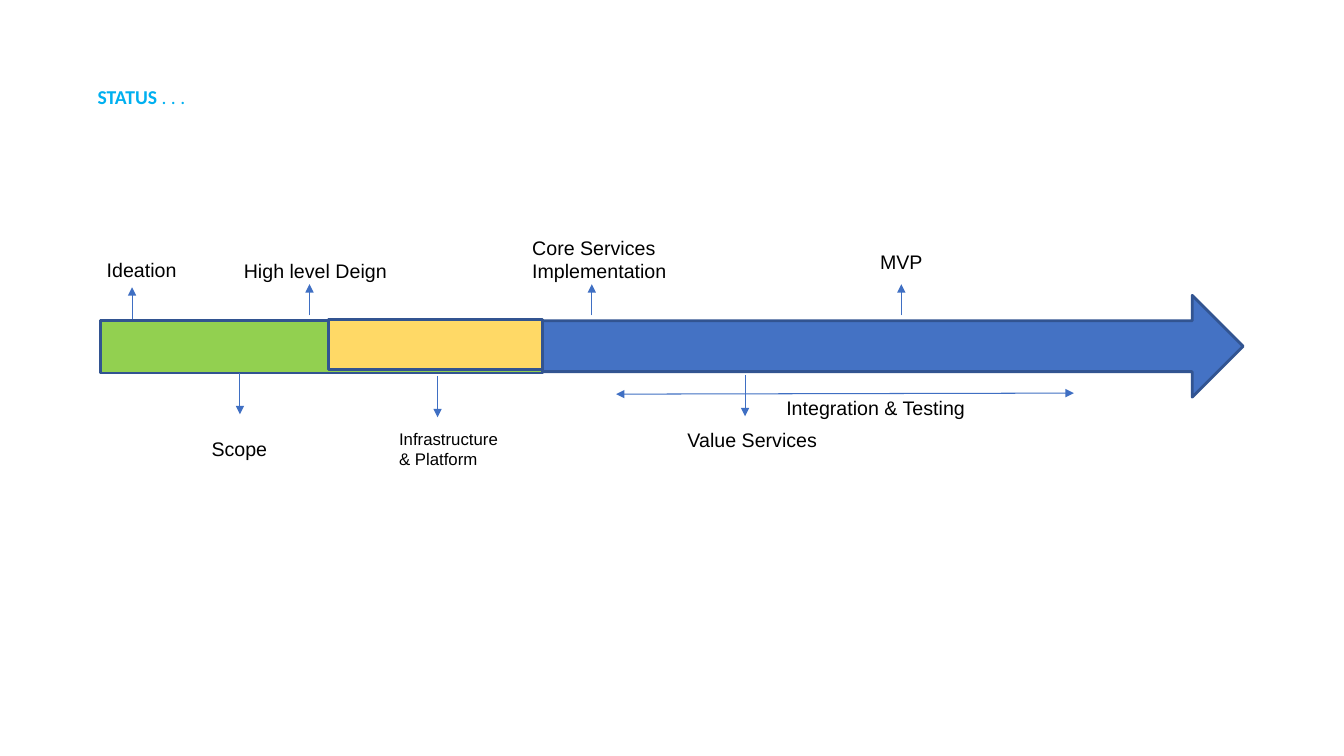
"""Build a project status slide with a milestone arrow."""
import lxml.etree
import pptx
import pptx.dml.color
import pptx.enum.shapes
import pptx.oxml.ns
import pptx.util

Inches = pptx.util.Inches
Pt = pptx.util.Pt
qn = pptx.oxml.ns.qn
SHAPE = pptx.enum.shapes.MSO_SHAPE


def paint(color, value):
    color.rgb = pptx.dml.color.RGBColor.from_string(value)


def label(text, left, top, width, height, size=14, wrap=False):
    box = slide.shapes.add_textbox(
        Inches(left), Inches(top), Inches(width), Inches(height))
    frame = box.text_frame
    frame.word_wrap = wrap
    frame.text = text
    for para in frame.paragraphs:
        for run in para.runs:
            run.font.size = Pt(size)
            run.font.name = "Arial"
            paint(run.font.color, "000000")
    return frame


deck = pptx.Presentation()
deck.slide_width = Inches(13.33)
deck.slide_height = Inches(7.5)
slide = deck.slides.add_slide(deck.slide_layouts[6])

bars = [
    (SHAPE.RIGHT_ARROW, 1, 2.93, 11.33, 1.01, "4472C4"),
    (SHAPE.RECTANGLE, 1, 3.18, 4.38, 0.52, "92D050"),
    (SHAPE.RECTANGLE, 3.26, 3.17, 2.12, 0.5, "FFD966"),
]
for kind, left, top, width, height, fill in bars:
    bar = slide.shapes.add_shape(
        kind, Inches(left), Inches(top), Inches(width), Inches(height))
    bar.shadow.inherit = False
    bar.fill.solid()
    paint(bar.fill.fore_color, fill)
    paint(bar.line.color, "325491")
    bar.line.width = Pt(2)

arrows = [
    (1.31, 3.16, 1.31, 2.85, ["tailEnd"]),
    (6.11, 3.91, 10.65, 3.9, ["headEnd", "tailEnd"]),
]
for x in (3.07, 5.87, 8.94):
    arrows.append((x, 3.13, x, 2.82, ["tailEnd"]))
for x, top in ((2.38, 3.7), (4.34, 3.73), (7.39, 3.72)):
    arrows.append((x, top, x, top + 0.41, ["tailEnd"]))
for x1, y1, x2, y2, ends in arrows:
    arrow = slide.shapes.add_connector(
        pptx.enum.shapes.MSO_CONNECTOR.STRAIGHT,
        Inches(x1), Inches(y1), Inches(x2), Inches(y2))
    paint(arrow.line.color, "3F6FC3")
    arrow.line.width = Pt(0.75)
    props = arrow.line.color and arrow.element.find(qn("p:spPr"))
    for end in ends:
        lxml.etree.SubElement(
            props.find(qn("a:ln")), qn("a:" + end), type="triangle")
    lxml.etree.SubElement(props, qn("a:effectLst"))

label("Ideation", 0.96, 2.51, 1.2, 0.34, wrap=True)
label("High level Deign", 2.32, 2.52, 1.63, 0.34)
label("Core Services\nImplementation", 5.18, 2.29, 1.54, 0.57)
label("MVP", 8.63, 2.43, 0.63, 0.34)
label("Scope", 2, 4.29, 0.76, 0.34)
label("Infrastructure\n& Platform", 3.86, 4.2, 1.7, 0.5, size=12, wrap=True)
label("Value Services", 6.72, 4.2, 1.51, 0.34)
label("Integration & Testing", 7.7, 3.88, 2.65, 0.34, wrap=True)

title = label("STATUS", 0.87, 0.76, 1.38, 0.88, wrap=True).paragraphs[0]
title.line_spacing = 1.15
title.add_run().text = " . . ."
for run, bold in zip(title.runs, (True, False)):
    run.font.name = "Calibri"
    run.font.size = Pt(14)
    run.font.bold = bold
    paint(run.font.color, "00B0F0")

deck.save("out.pptx")
